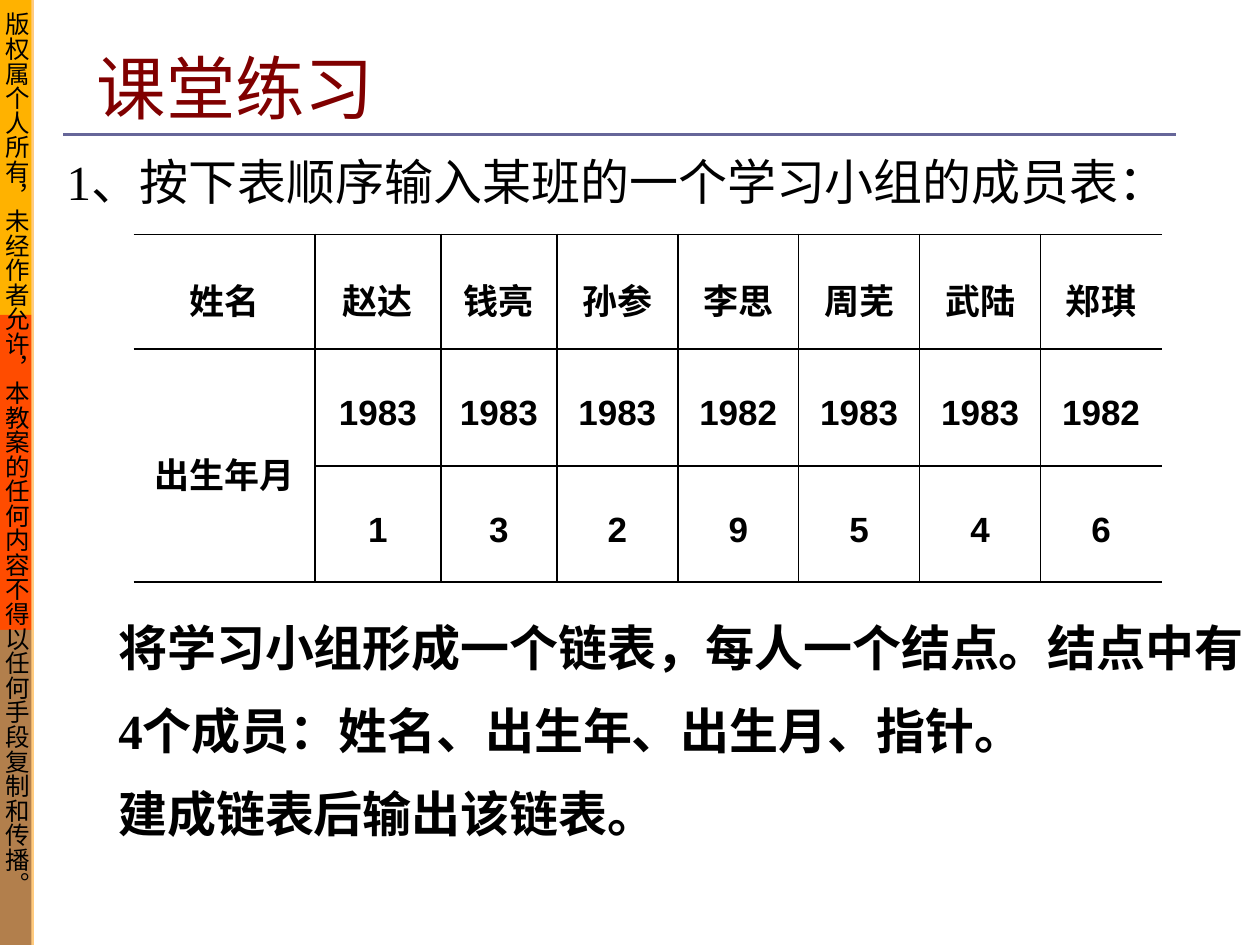
from lxml import etree
from pptx import Presentation
from pptx.dml.color import RGBColor
from pptx.enum import shapes, text
from pptx.oxml.ns import qn
from pptx.util import Inches, Pt

BLACK = RGBColor(0x00, 0x00, 0x00)
MAROON = RGBColor(0x80, 0x00, 0x00)
SLATE = RGBColor(0x66, 0x66, 0x99)
GOLD = RGBColor(0xFF, 0xCC, 0x00)
RED = RGBColor(0xFF, 0x00, 0x00)
ORANGE = RGBColor(0xFF, 0x99, 0x00)
CJK = "Noto Sans CJK SC"

NOTICE = "版权属个人所有，未经作者允许，本教案的任何内容不得以任何手段复制和传播。"
TASKS = ["将学习小组形成一个链表，每人一个结点。结点中有",
         "4个成员：姓名、出生年、出生月、指针。",
         "建成链表后输出该链表。"]
MEMBERS = [
    ["姓名", "赵达", "钱亮", "孙参", "李思", "周芜", "武陆", "郑琪"],
    ["出生年月", "1983", "1983", "1983", "1982", "1983", "1983", "1982"],
    ["", "1", "3", "2", "9", "5", "4", "6"],
]
COL_WIDTHS = [1.44, 1, 0.92] + [0.96] * 5
ROW_HEIGHTS = [0.91, 0.93, 0.92]


def write(tf, lines, size, font="Times New Roman", color=BLACK, bold=False,
          align=None, line_spacing=None, before=None, hanging=None):
    """Fill a text frame with one paragraph per line; before is a percentage."""
    for i, line in enumerate(lines):
        p = tf.paragraphs[0] if i == 0 else tf.add_paragraph()
        p.alignment = align
        if line_spacing:
            p.line_spacing = line_spacing
        pPr = p._p.get_or_add_pPr()
        if hanging:
            pPr.set("marL", str(Inches(hanging)))
            pPr.set("indent", str(-Inches(hanging)))
        if before:
            space = etree.SubElement(pPr, qn("a:spcBef"))
            etree.SubElement(space, qn("a:spcPct")).set("val", str(before * 1000))
        r = p.add_run()
        r.text = line
        r.font.size, r.font.bold, r.font.name = Pt(size), bold, font
        r.font.color.rgb = color
        etree.SubElement(r._r.get_or_add_rPr(), qn("a:ea")).set("typeface", CJK)


def add_box(s, x, y, w, h, wrap=True, anchor=text.MSO_ANCHOR.TOP):
    """Add a text box and return its frame."""
    tf = s.shapes.add_textbox(Inches(x), Inches(y), Inches(w), Inches(h)).text_frame
    tf.word_wrap = wrap
    tf.vertical_anchor = anchor
    return tf


def add_band(s, x, y, w, h, color):
    """Add a plain filled rectangle."""
    sp = s.shapes.add_shape(shapes.MSO_SHAPE.RECTANGLE,
                            Inches(x), Inches(y), Inches(w), Inches(h))
    sp.shadow.inherit = False
    sp.fill.solid()
    sp.fill.fore_color.rgb = color
    sp.line.fill.background()
    return sp


def add_sidebar(s, x, y, w, h):
    """Stack three bands under a translucent strip with the vertical notice."""
    for i, color in enumerate([GOLD, RED, SLATE]):
        add_band(s, x, y + i * h / 3, w - 0.02, h / 3, color)
    strip = add_band(s, x, y, w, h, ORANGE)
    clr = strip.fill._xPr.find(".//" + qn("a:srgbClr"))
    etree.SubElement(clr, qn("a:alpha")).set("val", "50000")
    tf = strip.text_frame
    tf.margin_left = tf.margin_right = Inches(0.02)
    tf.vertical_anchor = text.MSO_ANCHOR.TOP
    tf.word_wrap = True
    tf._txBody.bodyPr.set("vert", "eaVert")
    write(tf, [NOTICE], 14, font=CJK, align=text.PP_ALIGN.CENTER)


def add_heading(s, x, y, w, h):
    """Add the title and the rule under it."""
    tf = add_box(s, x + 0.17, y, 8.33, h, anchor=text.MSO_ANCHOR.BOTTOM)
    write(tf, ["课堂练习"], 39.6, font="Arial", color=MAROON)
    rule = s.shapes.add_connector(shapes.MSO_CONNECTOR.STRAIGHT, Inches(x),
                                  Inches(y + h), Inches(x + w), Inches(y + h))
    rule.line.color.rgb = SLATE
    rule.line.width = Pt(1.5)
    etree.SubElement(rule._element.spPr, qn("a:effectLst"))


def set_borders(cell, sides):
    """Draw thin black lines on the given sides and none on the others."""
    tcPr = cell._tc.get_or_add_tcPr()
    for i, side in enumerate("LRTB"):
        ln = etree.Element(qn("a:ln" + side), w=str(Pt(1)))
        if side in sides:
            fill = etree.SubElement(ln, qn("a:solidFill"))
            etree.SubElement(fill, qn("a:srgbClr")).set("val", str(BLACK))
        else:
            etree.SubElement(ln, qn("a:noFill"))
        tcPr.insert(i, ln)


def add_members(s, x, y):
    """Add the member table, open at its left and right edges."""
    rows, cols = len(MEMBERS), len(COL_WIDTHS)
    frame = s.shapes.add_table(rows, cols, Inches(x), Inches(y),
                               Inches(sum(COL_WIDTHS)), Inches(sum(ROW_HEIGHTS)))
    table = frame.table
    for col, width in zip(table.columns, COL_WIDTHS):
        col.width = Inches(width)
    for row, height in zip(table.rows, ROW_HEIGHTS):
        row.height = Inches(height)
    table.cell(1, 0).merge(table.cell(2, 0))
    for i, names in enumerate(MEMBERS):
        for j, name in enumerate(names):
            cell = table.cell(i, j)
            cell.fill.background()
            cell.vertical_anchor = text.MSO_ANCHOR.MIDDLE
            set_borders(cell, "TB" + "L" * (j > 0) + "R" * (j < cols - 1))
            if name:
                write(cell.text_frame, [name], 20, font="Arial", bold=True,
                      align=text.PP_ALIGN.CENTER, line_spacing=1.3)


def add_exercise(s, x, y):
    """Add the question, its table and the task below."""
    write(add_box(s, x, y, 9.65, 1.09),
          ["1、按下表顺序输入某班的一个学习小组的成员表："], 28, before=20)
    add_members(s, x + 0.63, y + 0.71)
    tf = add_box(s, x + 0.41, y + 3.7, 9.15, 1.97, wrap=False)
    tf.auto_size = text.MSO_AUTO_SIZE.SHAPE_TO_FIT_TEXT
    write(tf, TASKS, 28, bold=True, before=50, hanging=0.38)


prs = Presentation()
prs.slide_width, prs.slide_height = Inches(10), Inches(7.5)
s = prs.slides.add_slide(prs.slide_layouts[6])
add_sidebar(s, 0, 0, 0.27, 7.5)
add_heading(s, 0.5, 0.29, 8.83, 0.78)
add_exercise(s, 0.43, 1.15)
prs.save("out.pptx")
